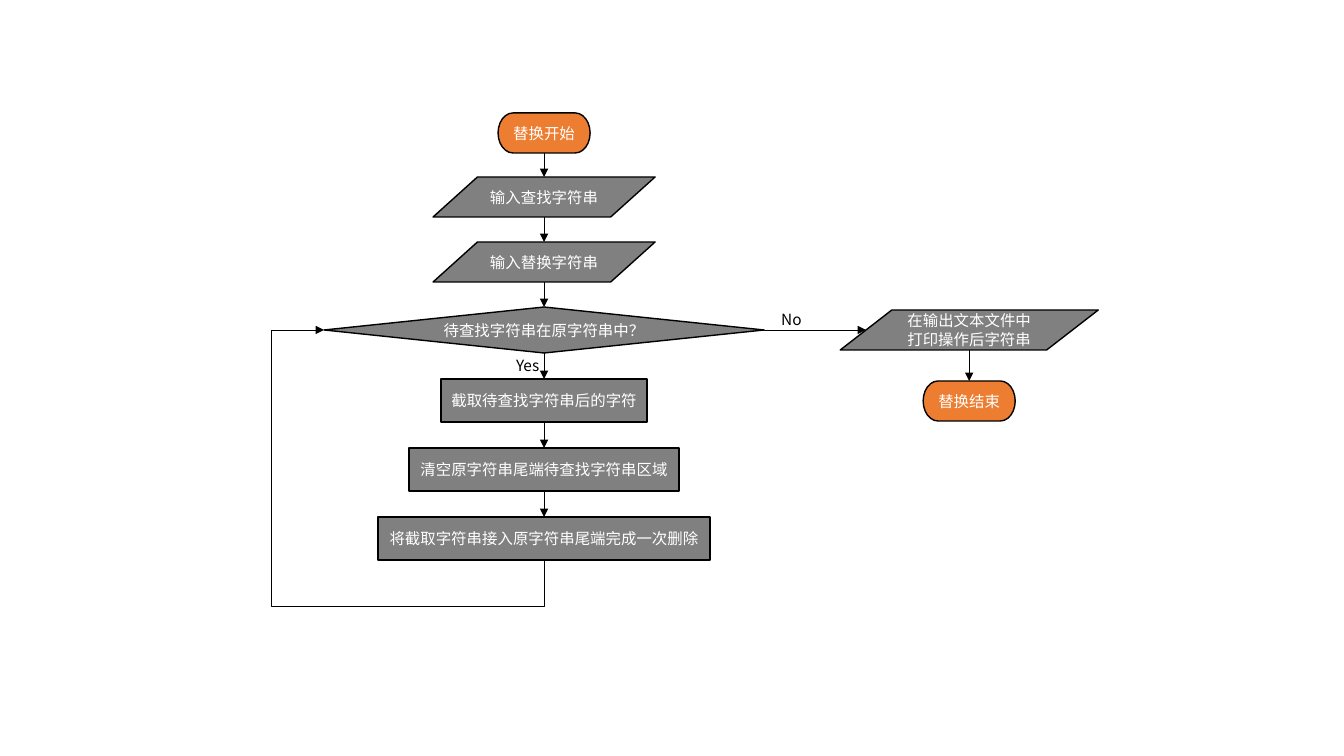
from pptx import Presentation
from pptx.dml.color import RGBColor
from pptx.enum.shapes import MSO_CONNECTOR as CONN, MSO_SHAPE as SHAPE
from pptx.enum.text import MSO_ANCHOR as ANCHOR, PP_ALIGN as ALIGN
from pptx.oxml.ns import qn
from pptx.util import Inches, Pt
from lxml.etree import SubElement

FONT = "Noto Sans CJK SC"
BLACK, WHITE, ORANGE, GREY = "000000", "FFFFFF", "ED7D31", "808080"
TOP, LEFT, BOTTOM, RIGHT = range(4)
MAIN_X, OUTPUT_X = 544, 969


def px(n):
    return round(n * 914400 / 100.8)


def rgb(value):
    return RGBColor.from_string(value)


def write(tf, text, color=BLACK, align=ALIGN.LEFT, anchor=ANCHOR.TOP, wrap=True):
    tf.word_wrap = wrap
    tf.vertical_anchor = anchor
    p = tf.paragraphs[0]
    p.alignment = align
    r = p.add_run()
    r.text = text
    r.font.size = Pt(11)
    r.font.name = FONT
    r.font.color.rgb = rgb(color)
    SubElement(r.font._element, qn("a:ea"), typeface=FONT)


def add_node(slide, kind, text, cx, top, w, h, wrap=False):
    sp = slide.shapes.add_shape(kind, px(cx - w / 2), px(top), px(w), px(h))
    sp.shadow.inherit = False
    sp.fill.solid()
    sp.fill.fore_color.rgb = rgb(ORANGE if kind == SHAPE.FLOWCHART_TERMINATOR else GREY)
    sp.line.color.rgb = rgb(BLACK)
    sp.line.width = Pt(1)
    sp.text_frame.margin_top = sp.text_frame.margin_bottom = 0
    write(sp.text_frame, text, WHITE, ALIGN.CENTER, ANCHOR.MIDDLE, wrap)
    return sp


def add_label(slide, text, left, top):
    box = slide.shapes.add_textbox(px(left), px(top), px(69), px(29))
    write(box.text_frame, text)


def side_point(sp, side):
    cx, cy = sp.left + sp.width // 2, sp.top + sp.height // 2
    inset = sp.width // 10 if sp.auto_shape_type == SHAPE.FLOWCHART_DATA else 0
    return {
        TOP: (cx, sp.top),
        LEFT: (sp.left + inset, cy),
        BOTTOM: (cx, sp.top + sp.height),
        RIGHT: (sp.left + sp.width - inset, cy),
    }[side]


def add_arrow(slide, kind, source, source_side, target, target_side):
    start, end = side_point(source, source_side), side_point(target, target_side)
    line = slide.shapes.add_connector(kind, *start, *end)
    if source.auto_shape_type != SHAPE.FLOWCHART_DATA:
        line.begin_connect(source, source_side)
    if target.auto_shape_type != SHAPE.FLOWCHART_DATA:
        line.end_connect(target, target_side)
    line.line.color.rgb = rgb(BLACK)
    line.line.width = Pt(0.5)
    SubElement(line.line._get_or_add_ln(), qn("a:tailEnd"), type="triangle")
    SubElement(line._element.spPr, qn("a:effectLst"))
    return line


def add_loop(slide, source, target, drop, reach):
    line = add_arrow(slide, CONN.ELBOW, source, BOTTOM, target, LEFT)
    x1, y1 = side_point(source, BOTTOM)
    x2, y2 = side_point(target, LEFT)
    w, h = y1 - y2, x1 - x2
    line.left, line.top = (x1 + x2 - w) // 2, (y1 + y2 - h) // 2
    line.width, line.height = w, h
    xfrm = line._element.spPr.find(qn("a:xfrm"))
    xfrm.attrib.pop("flipV", None)
    xfrm.set("rot", "5400000")
    xfrm.set("flipH", "1")
    geom = line._element.spPr.find(qn("a:prstGeom"))
    geom.set("prst", "bentConnector4")
    guides = geom.find(qn("a:avLst"))
    ratios = {"adj1": -px(drop) / w, "adj2": 1 + px(reach) / h}
    for name, ratio in ratios.items():
        SubElement(guides, qn("a:gd"), name=name, fmla=f"val {round(ratio * 100000)}")


def main():
    prs = Presentation()
    prs.slide_width, prs.slide_height = Inches(13.33), Inches(7.5)
    slide = prs.slides.add_slide(prs.slide_layouts[6])

    steps = [
        (SHAPE.FLOWCHART_TERMINATOR, "替换开始", 113, 92, 40),
        (SHAPE.FLOWCHART_DATA, "输入查找字符串", 177, 222, 40),
        (SHAPE.FLOWCHART_DATA, "输入替换字符串", 242, 222, 40),
        (SHAPE.FLOWCHART_DECISION, "待查找字符串在原字符串中？", 307, 440, 46),
        (SHAPE.FLOWCHART_PROCESS, "截取待查找字符串后的字符", 379, 206, 43),
        (SHAPE.FLOWCHART_PROCESS, "清空原字符串尾端待查找字符串区域", 448, 270, 43),
        (SHAPE.FLOWCHART_PROCESS, "将截取字符串接入原字符串尾端完成一次删除", 517, 332, 43),
    ]
    nodes = [add_node(slide, kind, text, MAIN_X, *box) for kind, text, *box in steps]
    decision, last = nodes[3], nodes[-1]
    output = add_node(slide, SHAPE.FLOWCHART_DATA, "在输出文本文件中打印操作后字符串",
                      OUTPUT_X, 310, 258, 40, wrap=True)
    finish = add_node(slide, SHAPE.FLOWCHART_TERMINATOR, "替换结束", OUTPUT_X, 381, 92, 40)

    for source, target in [*zip(nodes, nodes[1:]), (output, finish)]:
        add_arrow(slide, CONN.STRAIGHT, source, BOTTOM, target, TOP)
    add_arrow(slide, CONN.STRAIGHT, decision, RIGHT, output, LEFT)
    add_loop(slide, last, decision, drop=46, reach=53)

    add_label(slide, "Yes", 506, 351)
    add_label(slide, "No", 771, 305)
    prs.save("out.pptx")


if __name__ == "__main__":
    main()
